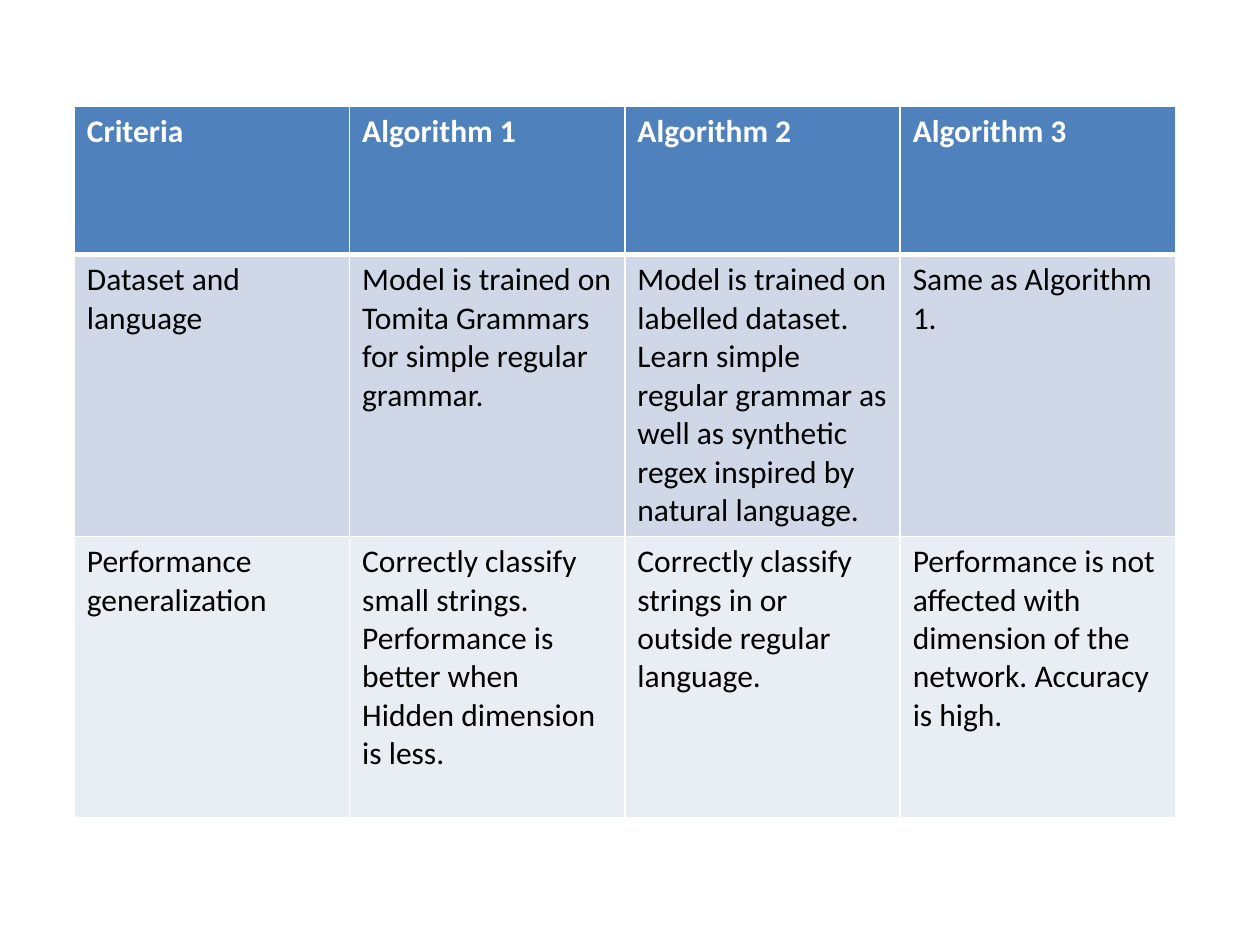
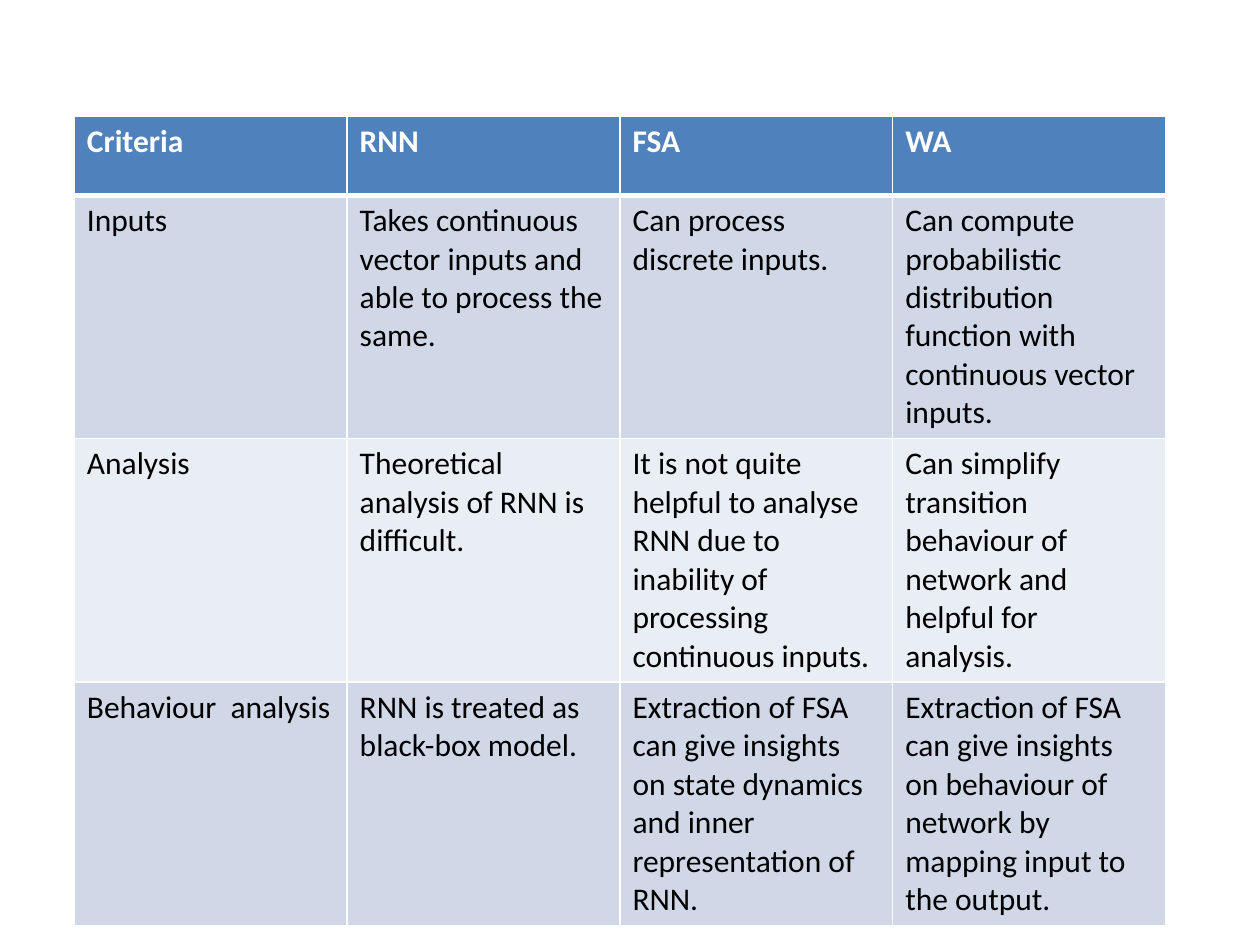
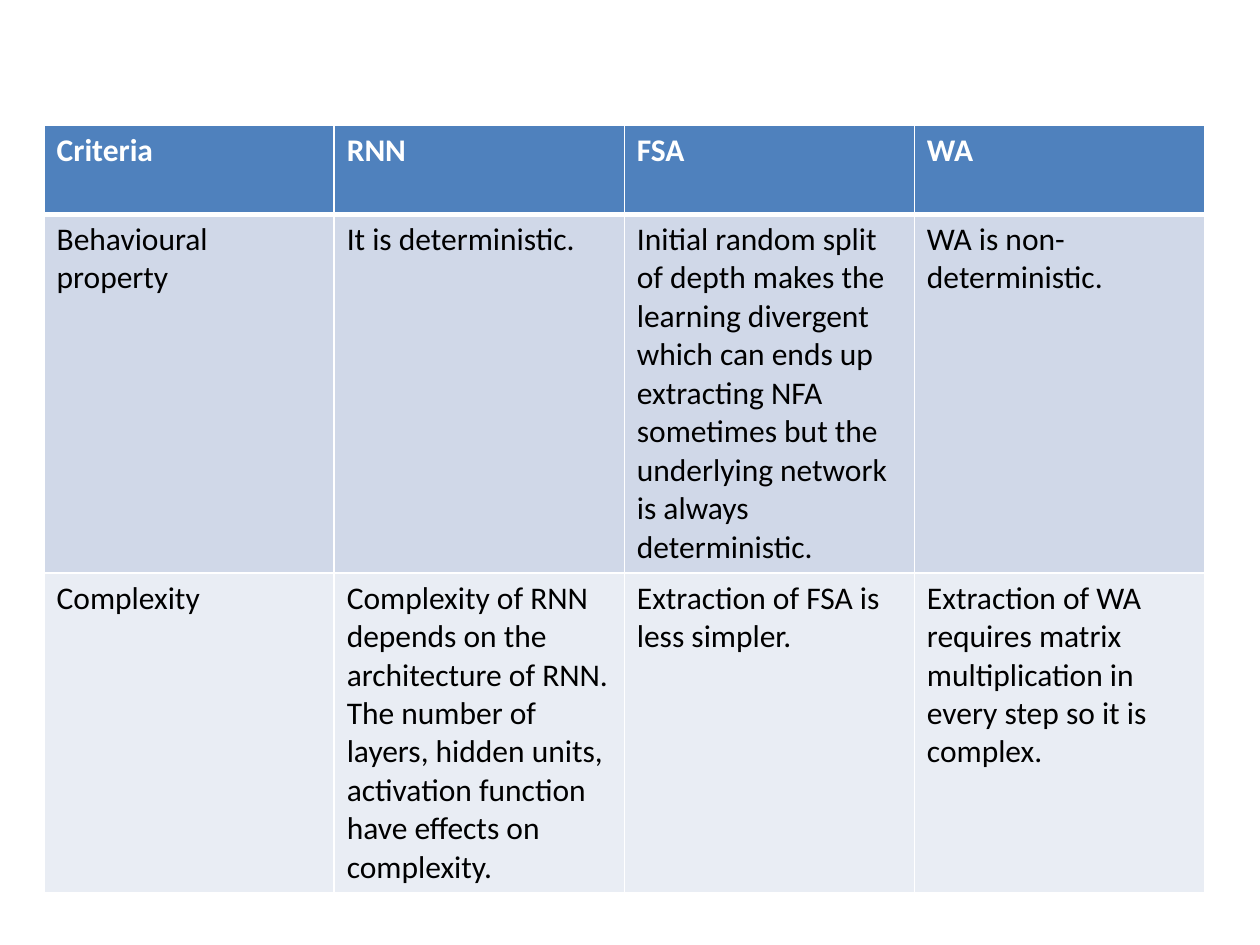
import pptx
import pptx.dml.color
import pptx.oxml
import pptx.oxml.ns
import pptx.util
from dataclasses import dataclass

Inches = pptx.util.Inches
Pt = pptx.util.Pt


@dataclass(frozen=True)
class Theme:
    font: str = "Calibri"
    text_size: int = 18
    header_fill: str = "4F81BD"
    header_text: str = "FFFFFF"
    body_fills: tuple = ("D0D8E8", "E9EDF4")
    body_text: str = "000000"
    rule: str = "FFFFFF"
    thin_rule: int = 1
    thick_rule: int = 3


class ComparisonDeck:
    """Builds pages of comparison tables in one shared style."""

    def __init__(self, theme):
        self.theme = theme
        self.deck = pptx.Presentation()
        self.deck.slide_width = Inches(10)
        self.deck.slide_height = Inches(7.5)
        self.page = None

    def add_page(self):
        self.page = self.deck.slides.add_slide(self.deck.slide_layouts[6])

    def add_comparison(self, left, top, width, row_heights, rows):
        frame = self.page.shapes.add_table(
            len(rows), len(rows[0]), Inches(left), Inches(top),
            Inches(width), Inches(sum(row_heights)))
        table = frame.table
        table.first_row = True
        table.horz_banding = False
        for row, height in zip(table.rows, row_heights):
            row.height = Inches(height)
        for row_index, texts in enumerate(rows):
            for column_index, text in enumerate(texts):
                self.style_cell(table.cell(row_index, column_index), text, row_index)

    def style_cell(self, cell, text, row_index):
        theme = self.theme
        is_header = row_index == 0
        top = theme.thick_rule if row_index == 1 else theme.thin_rule
        bottom = theme.thick_rule if is_header else theme.thin_rule
        self.add_borders(cell, L=theme.thin_rule, R=theme.thin_rule, T=top, B=bottom)

        fill = theme.header_fill if is_header else theme.body_fills[(row_index - 1) % 2]
        cell.fill.solid()
        cell.fill.fore_color.rgb = pptx.dml.color.RGBColor.from_string(fill)

        color = theme.header_text if is_header else theme.body_text
        cell.text_frame.text = text
        for paragraph in cell.text_frame.paragraphs:
            for span in paragraph.runs:
                span.font.name = theme.font
                span.font.size = Pt(theme.text_size)
                span.font.bold = is_header
                span.font.color.rgb = pptx.dml.color.RGBColor.from_string(color)

    def add_borders(self, cell, **widths):
        properties = cell._tc.get_or_add_tcPr()
        for side, width in widths.items():
            properties.append(pptx.oxml.parse_xml(
                f'<a:ln{side} {pptx.oxml.ns.nsdecls("a")} w="{Pt(width)}">'
                f'<a:solidFill><a:srgbClr val="{self.theme.rule}"/></a:solidFill>'
                f'</a:ln{side}>'))

    def save(self):
        self.deck.save("out.pptx")


MODEL_HEADER = ("Criteria", "RNN", "FSA", "WA")

COMPARISONS = [
    dict(left=0.59, top=0.84, width=8.74, row_heights=(1.18, 2.23, 2.23), rows=[
        ("Criteria", "Algorithm 1", "Algorithm 2", "Algorithm 3"),
        ("Dataset and language",
         "Model is trained on Tomita Grammars for simple regular grammar.",
         "Model is trained on labelled dataset. Learn simple regular grammar "
         "as well as synthetic regex inspired by natural language.",
         "Same as Algorithm 1."),
        ("Performance generalization",
         "Correctly classify small strings.\n"
         "Performance is better when Hidden dimension is less.",
         "Correctly classify strings in or outside regular language.",
         "Performance is not affected with  dimension of the network. "
         "Accuracy is high."),
    ]),
    dict(left=0.59, top=0.92, width=8.66, row_heights=(0.63, 1.93, 1.93, 1.93), rows=[
        MODEL_HEADER,
        ("Inputs",
         "Takes continuous vector inputs and able to process the same.",
         "Can process discrete inputs.",
         "Can compute probabilistic distribution function with continuous "
         "vector inputs."),
        ("Analysis",
         "Theoretical analysis of RNN is difficult.",
         "It is not quite helpful to analyse RNN due to inability of "
         "processing continuous inputs.",
         "Can simplify transition behaviour of network and helpful for analysis."),
        ("Behaviour  analysis",
         "RNN is treated as black-box model.",
         "Extraction of FSA can give insights on state dynamics and inner "
         "representation of RNN.",
         "Extraction of FSA can give insights on behaviour of network by "
         "mapping input to the output."),
    ]),
    dict(left=0.35, top=0.99, width=9.21, row_heights=(0.71, 2.84, 2.54), rows=[
        MODEL_HEADER,
        ("Behavioural property",
         "It is deterministic.",
         "Initial random split of depth makes the learning divergent which can "
         "ends up extracting NFA sometimes but the underlying network is always "
         "deterministic.",
         "WA is non-deterministic."),
        ("Complexity",
         "Complexity of RNN depends on the architecture of RNN. The number of "
         "layers, hidden units, activation function have effects on complexity.",
         "Extraction of FSA is less simpler.",
         "Extraction of WA requires matrix multiplication in every step so it "
         "is complex."),
    ]),
]


def main():
    builder = ComparisonDeck(Theme())
    for comparison in COMPARISONS:
        builder.add_page()
        builder.add_comparison(**comparison)
    builder.save()


if __name__ == "__main__":
    main()
